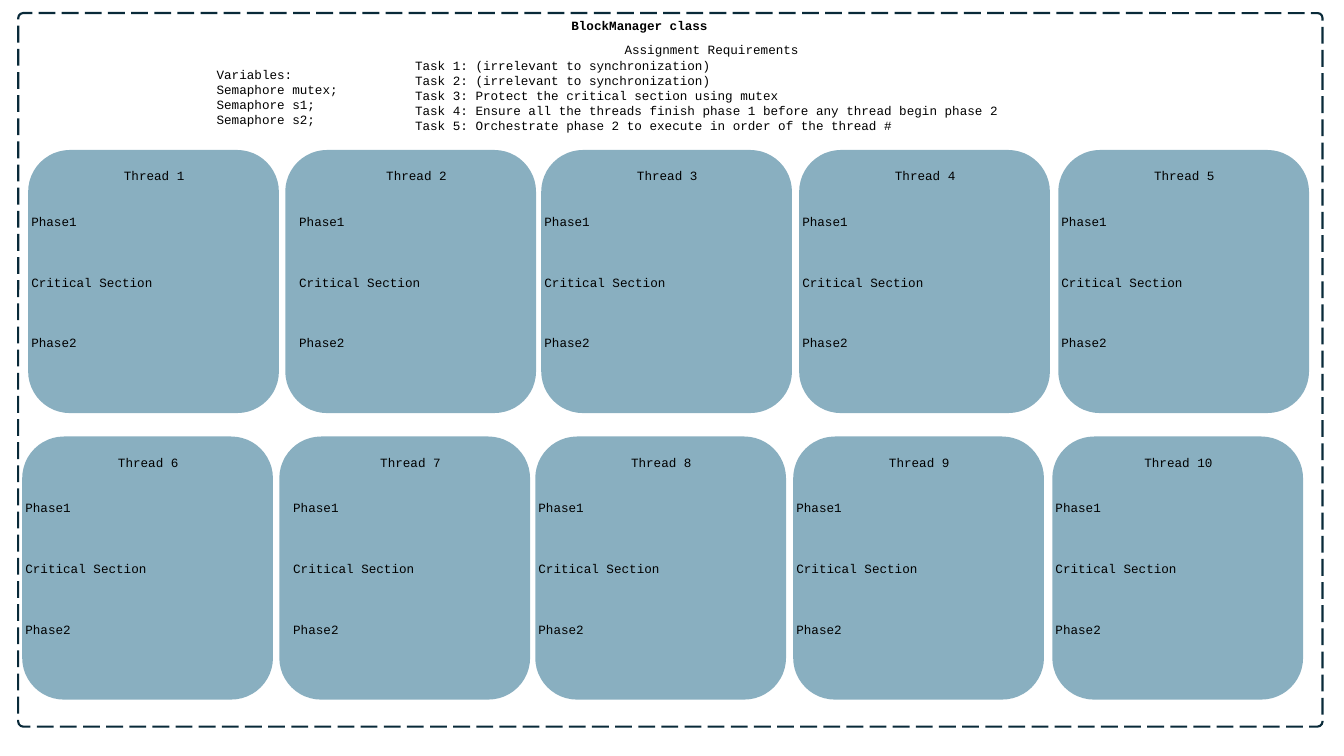
from lxml import etree
from pptx import Presentation
from pptx import util as u
from pptx.dml.color import RGBColor
from pptx.enum import dml, shapes, text
from pptx.oxml.ns import qn

HUES = {"edge": "092A39", "card": "156082", "ink": "000000"}
FONT = "Courier New"
SIZE = 9
TITLE = ["BlockManager class"]
VARS = ["Variables:", "Semaphore mutex;", "Semaphore s1;", "Semaphore s2;"]
TASKS = [
    "Assignment Requirements",
    "Task 1: (irrelevant to synchronization)",
    "Task 2: (irrelevant to synchronization)",
    "Task 3: Protect the critical section using mutex",
    "Task 4: Ensure all the threads finish phase 1 before any thread begin phase 2",
    "Task 5: Orchestrate phase 2 to execute in order of the thread #",
]
STEPS = ["Phase1", "Critical Section", "Phase2"]
GAPS = [0, 21.7, 32.6, 32.6]

COLS = [0.71, 7.19, 13.64, 20.14, 26.67]
ROWS = [(0, 3.78), (-0.15, 11)]
CARD = (6.32, 6.63)
LABELS = [(-0.17, 6.5), (0.1, 6.22)] + [(-0.17, 6.5)] * 3


def hue(name):
    return RGBColor.from_string(HUES[name])


def put(home, kind, *box):
    item = home.add_shape(kind, *map(u.Cm, box))
    item.shadow.inherit = False
    return item


def write(home, lines, box, head=False, bold=False, wrap=True, gaps=()):
    frame = home.add_textbox(*map(u.Cm, box)).text_frame
    frame.word_wrap = wrap
    frame.text = "\n".join(lines)
    for par in frame.paragraphs:
        par.font.name = FONT
        par.font.size = u.Pt(SIZE)
        par.font.bold = bold
        par.font.color.rgb = hue("ink")
    if head:
        frame.paragraphs[0].alignment = text.PP_ALIGN.CENTER
    for par, gap in zip(frame.paragraphs, gaps):
        par.space_before = u.Pt(gap)


def thread(home, num, left, top, label):
    group = home.add_group_shape().shapes
    card = put(group, shapes.MSO_SHAPE.ROUNDED_RECTANGLE, left, top, *CARD)
    card.fill.solid()
    card.fill.fore_color.rgb = hue("card")
    tint = next(card.element.spPr.iter(qn("a:srgbClr")))
    etree.SubElement(tint, qn("a:alpha"), val="50000")
    card.line.fill.background()
    shift, wide = label
    write(group, [f" Thread {num}"] + STEPS,
          (left + shift, top + 0.33, wide, 6.02), head=True, gaps=GAPS)


def main():
    deck = Presentation()
    deck.slide_width, deck.slide_height = u.Cm(33.87), u.Cm(19.05)
    home = deck.slides.add_slide(deck.slide_layouts[6]).shapes

    edge = put(home, shapes.MSO_SHAPE.ROUNDED_RECTANGLE, 0.46, 0.33, 32.87, 17.98)
    edge.adjustments[0] = 0.007
    edge.fill.background()
    edge.line.color.rgb = hue("edge")
    edge.line.width = u.Pt(1.5)
    edge.line.dash_style = dml.MSO_LINE.LONG_DASH

    write(home, TITLE, (14.15, 0.33, 3.96, 0.64), bold=True, wrap=False)
    write(home, TASKS, (10.21, 0.94, 15.44, 2.57), head=True)
    write(home, VARS, (5.21, 1.55, 3.96, 1.8))

    for row, (shift, top) in enumerate(ROWS):
        for col, left in enumerate(COLS):
            num = row * len(COLS) + col + 1
            thread(home, num, left + shift, top, LABELS[col])

    deck.save("out.pptx")


if __name__ == "__main__":
    main()
